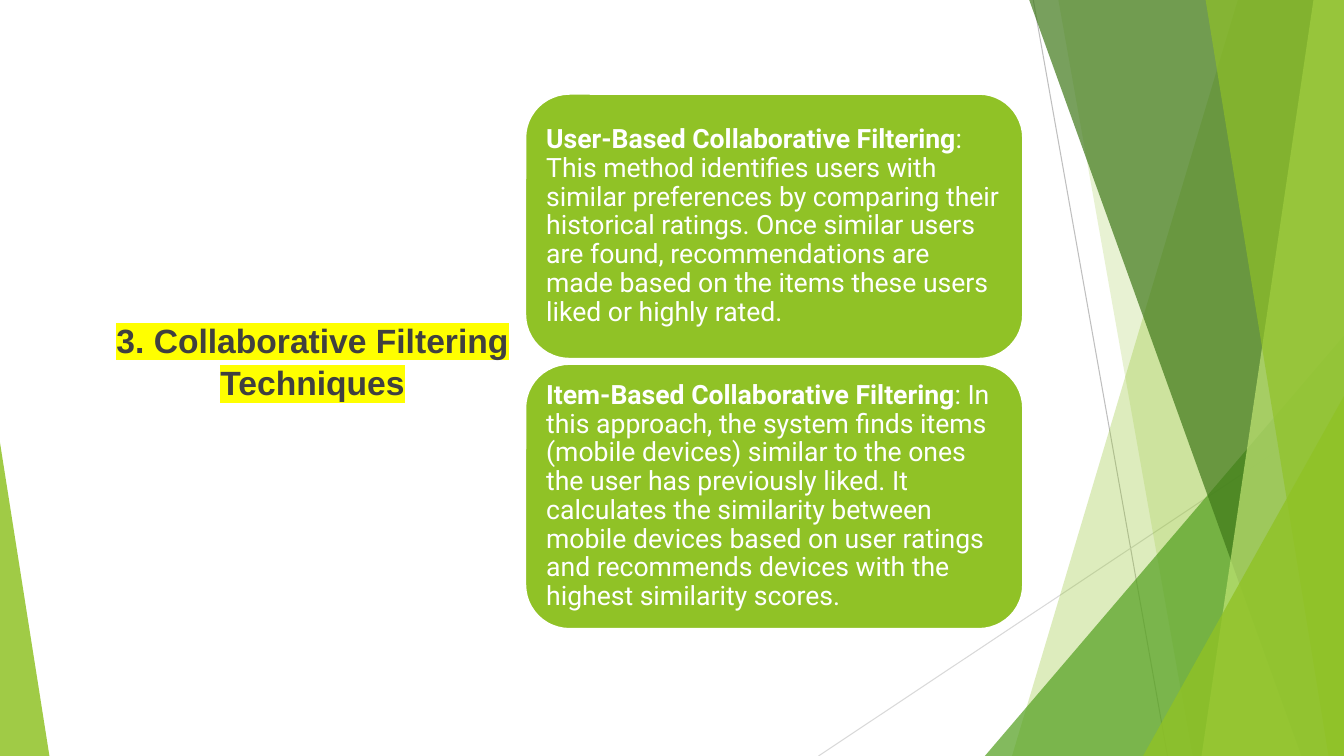
from dataclasses import dataclass

from pptx import Presentation
from pptx.dml.color import RGBColor
from pptx.enum.shapes import MSO_CONNECTOR, MSO_SHAPE
from pptx.enum.text import MSO_ANCHOR, MSO_AUTO_SIZE, PP_ALIGN
from pptx.oxml.ns import qn
from pptx.oxml.xmlchemy import OxmlElement
from pptx.util import Inches, Pt


@dataclass(frozen=True)
class Theme:
    lime: str = "90C226"
    green: str = "54A021"
    forest: str = "3F7819"
    pale: str = "C0E474"
    white: str = "FFFFFF"
    ink: str = "404040"
    marker: str = "FFFF00"
    silver: str = "BFBFBF"
    mist: str = "D9D9D9"
    title_font: str = "Arial"
    card_font: str = "Roboto"
    title_size: float = 24
    card_size: float = 19
    hairline: float = 0.75
    outline: float = 1.5


class SlideBuilder:
    """Draws on a grid of 100 columns by 100 rows."""

    def __init__(self, deck, slide, theme):
        self.slide, self.theme = slide, theme
        self.column = deck.slide_width / 100
        self.row = deck.slide_height / 100

    def place(self, x, y):
        return round(x * self.column), round(y * self.row)

    def paint(self, shape, color, opacity=100):
        shape.shadow.inherit = False
        shape.fill.solid()
        shape.fill.fore_color.rgb = RGBColor.from_string(color)
        shape.line.fill.background()
        if opacity < 100:
            alpha = OxmlElement("a:alpha")
            alpha.set("val", str(opacity * 1000))
            shape.fill._xPr.find(qn("a:solidFill"))[0].append(alpha)

    def hairline(self, start, end, color):
        line = self.slide.shapes.add_connector(
            MSO_CONNECTOR.STRAIGHT, *self.place(*start), *self.place(*end))
        line.line.color.rgb = RGBColor.from_string(color)
        line.line.width = Pt(self.theme.hairline)
        line._element.spPr.append(OxmlElement("a:effectLst"))

    def facet(self, top, bottom, color, opacity):
        """Full-height band from a slanted left edge to the slide's right edge."""
        builder = self.slide.shapes.build_freeform(*self.place(top, 0))
        builder.add_line_segments(
            [self.place(100, 0), self.place(100, 100), self.place(bottom, 100)])
        self.paint(builder.convert_to_shape(), color, opacity)

    def wedge(self, left, right, top, apex, color, opacity):
        """Triangle that stands on the slide's bottom edge."""
        shape = self.slide.shapes.add_shape(
            MSO_SHAPE.ISOSCELES_TRIANGLE, *self.place(left, top),
            *self.place(right - left, 100 - top))
        shape.adjustments[0] = apex
        self.paint(shape, color, opacity)

    def span(self, para, text, font, size, color, bold=False):
        span = para.add_run()
        span.text = text
        span.font.name = font
        span.font.size = Pt(size)
        span.font.bold = bold
        span.font.color.rgb = RGBColor.from_string(color)
        return span

    def title(self, text, x, y, width, height):
        theme = self.theme
        box = self.slide.shapes.title
        box.left, box.top = self.place(x, y)
        box.width, box.height = self.place(width, height)
        frame = box.text_frame
        frame.word_wrap = True
        frame.auto_size = MSO_AUTO_SIZE.NONE
        frame.vertical_anchor = MSO_ANCHOR.MIDDLE
        para = frame.paragraphs[0]
        para.alignment = PP_ALIGN.CENTER
        para.line_spacing = 1.06
        span = self.span(para, text, theme.title_font, theme.title_size,
                         theme.ink, bold=True)
        highlight = OxmlElement("a:highlight")
        color = OxmlElement("a:srgbClr")
        color.set("val", theme.marker)
        highlight.append(color)
        span.font._element.find(qn("a:solidFill")).addnext(highlight)

    def card(self, heading, body, x, y, width, height):
        theme = self.theme
        box = self.slide.shapes.add_shape(
            MSO_SHAPE.ROUNDED_RECTANGLE, *self.place(x, y),
            *self.place(width, height))
        self.paint(box, theme.lime)
        box.line.color.rgb = RGBColor.from_string(theme.white)
        box.line.width = Pt(theme.outline)
        frame = box.text_frame
        frame.word_wrap = True
        frame.vertical_anchor = MSO_ANCHOR.MIDDLE
        frame.margin_left, frame.margin_top = self.place(0.6, 1.07)
        frame.margin_right, frame.margin_bottom = self.place(0.6, 1.07)
        para = frame.paragraphs[0]
        para.alignment = PP_ALIGN.LEFT
        para.line_spacing = 0.9
        for text, bold in ((heading, True), (body, False)):
            self.span(para, text, theme.card_font, theme.card_size,
                      theme.white, bold)


CARDS = [
    ("User-Based Collaborative Filtering",
     ": This method identifies users with similar preferences by comparing "
     "their historical ratings. Once similar users are found, recommendations "
     "are made based on the items these users liked or highly rated."),
    ("Item-Based Collaborative Filtering",
     ": In this approach, the system finds items (mobile devices) similar to "
     "the ones the user has previously liked. It calculates the similarity "
     "between mobile devices based on user ratings and recommends devices "
     "with the highest similarity scores."),
]
CARD_TOP, CARD_HEIGHT, CARD_PITCH = 12.4, 35.07, 35.73


def main():
    deck = Presentation()
    deck.slide_width, deck.slide_height = Inches(13.33), Inches(7.5)
    theme = Theme()
    page = SlideBuilder(deck, deck.slides.add_slide(deck.slide_layouts[5]), theme)

    # Backdrop: thin lines and translucent facets, back to front
    page.hairline((76.88, 0), (86.87, 100), theme.silver)
    page.hairline((100, 53.73), (60.9, 100), theme.mist)
    page.facet(92.1, 75.3, theme.lime, 30)
    page.facet(78.75, 88.73, theme.lime, 20)
    page.wedge(73.28, 100, 44.4, 1, theme.green, 72)
    page.facet(76.58, 96.83, theme.forest, 70)
    page.facet(97.73, 89.4, theme.pale, 70)
    page.facet(89.7, 98.85, theme.lime, 65)
    page.wedge(85.05, 100, 52.4, 1, theme.lime, 80)
    page.wedge(0, 3.68, 58.53, 0, theme.lime, 85)

    # Title
    page.title("3. Collaborative Filtering Techniques", 7.43, 34.27, 31.65, 26.67)

    # Technique cards
    for index, (heading, body) in enumerate(CARDS):
        page.card(heading, body, 39.08, CARD_TOP + index * CARD_PITCH,
                  37.05, CARD_HEIGHT)

    deck.save("out.pptx")


if __name__ == "__main__":
    main()
